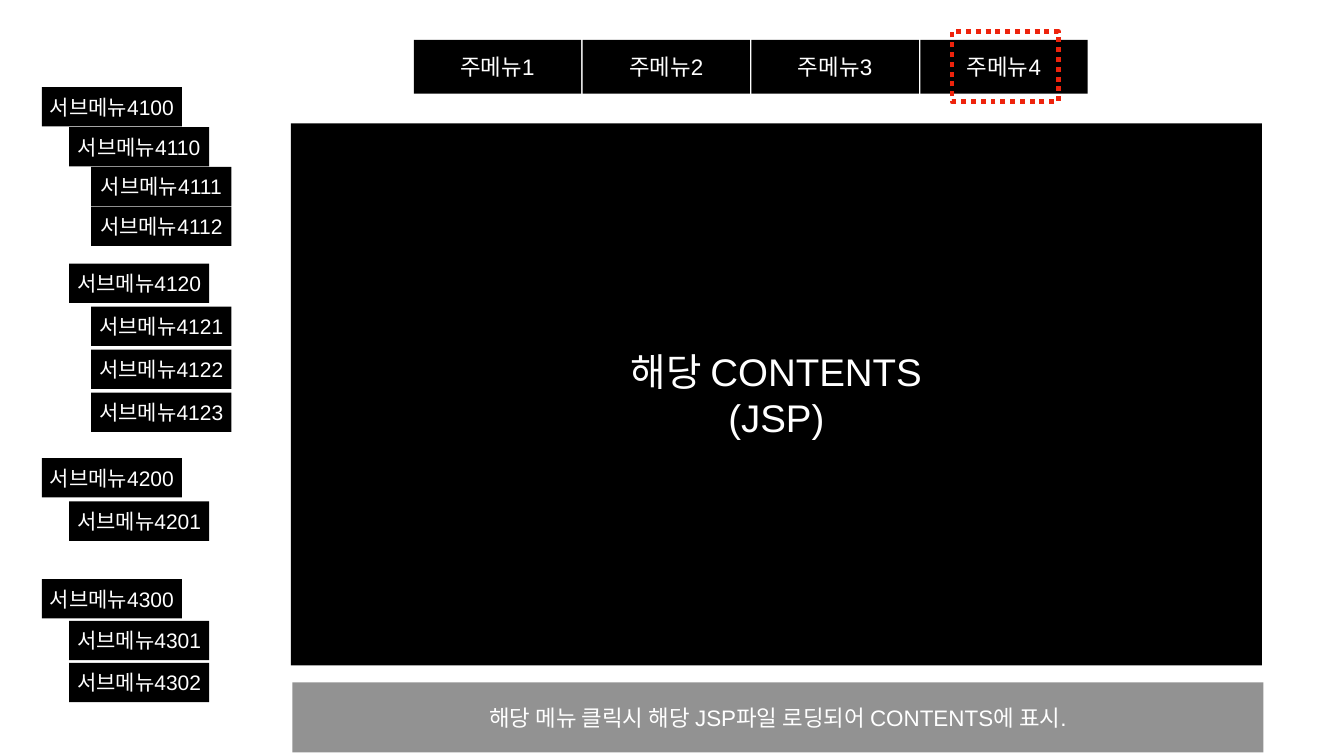
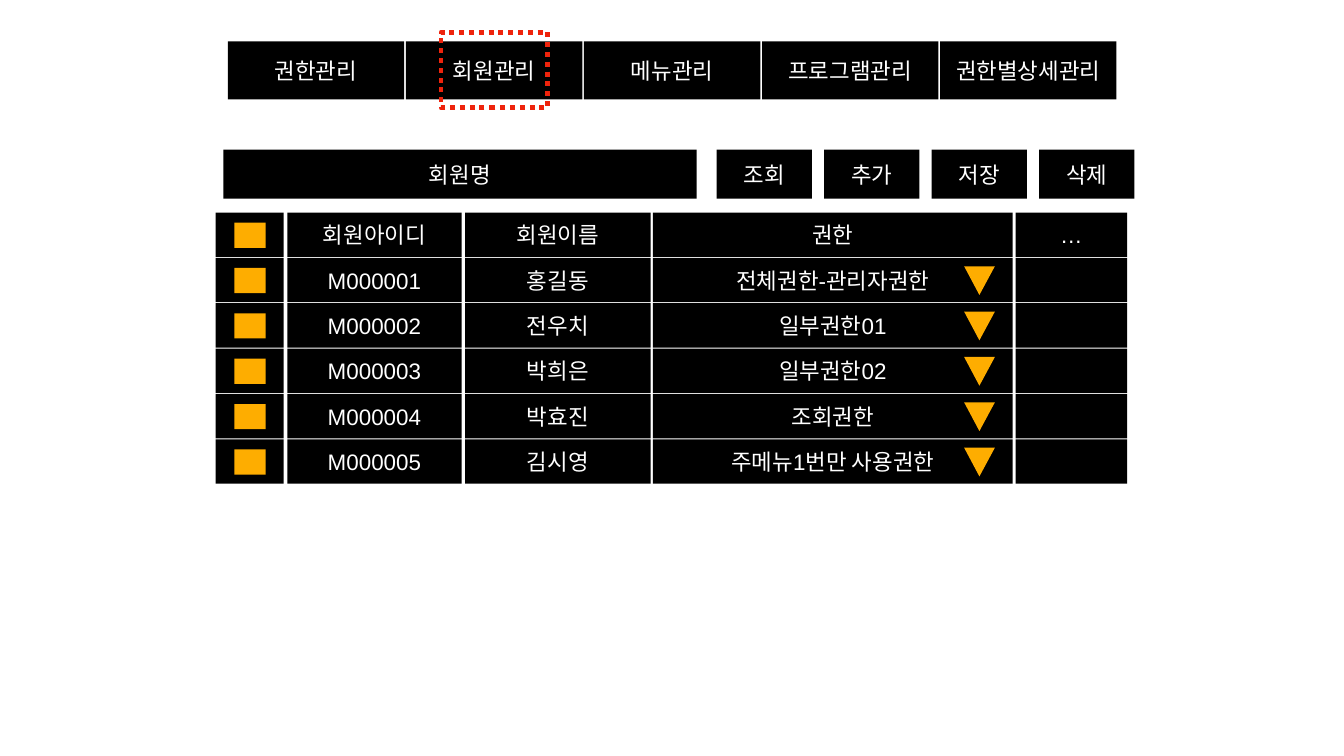
from dataclasses import dataclass

from pptx import Presentation
from pptx.dml.color import RGBColor
from pptx.enum.dml import MSO_LINE
from pptx.enum.shapes import MSO_SHAPE
from pptx.enum.text import MSO_ANCHOR, PP_ALIGN
from pptx.util import Inches, Pt


@dataclass(frozen=True)
class Theme:
    font: str = "Arial"
    box: RGBColor = RGBColor(0x00, 0x00, 0x00)
    text: RGBColor = RGBColor(0xFF, 0xFF, 0xFF)
    note: RGBColor = RGBColor(0x92, 0x92, 0x92)
    marker: RGBColor = RGBColor(0xFE, 0xAD, 0x00)
    highlight: RGBColor = RGBColor(0xEE, 0x23, 0x0C)
    body: int = 32
    submenu: int = 30
    contents: int = 55
    highlight_width: int = 7


theme = Theme()

prs = Presentation()
prs.slide_width, prs.slide_height = Inches(26.67), Inches(15)
blank = prs.slide_layouts[6]

# Every length below is counted in columns and rows of this 80 x 45 grid
COL = prs.slide_width / 80
ROW = prs.slide_height / 45


def add_box(s, left, top, width, height, text="", size=theme.body, fill=theme.box):
    """Add a borderless rectangle; each line of text becomes a paragraph."""
    sp = s.shapes.add_shape(MSO_SHAPE.RECTANGLE, round(left * COL), round(top * ROW),
                            round(width * COL), round(height * ROW))
    sp.shadow.inherit = False
    sp.fill.solid()
    sp.fill.fore_color.rgb = fill
    sp.line.fill.background()
    if not text:
        return sp
    tf = sp.text_frame
    tf.word_wrap = True
    tf.vertical_anchor = MSO_ANCHOR.MIDDLE
    tf.margin_left = tf.margin_right = tf.margin_top = tf.margin_bottom = Inches(0.06)
    for i, line in enumerate(text.split("\n")):
        p = tf.add_paragraph() if i else tf.paragraphs[0]
        p.alignment = PP_ALIGN.CENTER
        r = p.add_run()
        r.text = line
        r.font.name = theme.font
        r.font.size = Pt(size)
        r.font.color.rgb = theme.text
    return sp


def add_main_menu(s, labels, left, top, width, height, pitch, highlight):
    """Add the row of menu boxes and the dotted frame (left, top, width, height)."""
    for i, label in enumerate(labels):
        add_box(s, left + i * pitch, top, width, height, label)
    frame = add_box(s, *highlight)
    frame.fill.background()
    frame.line.color.rgb = theme.highlight
    frame.line.width = Pt(theme.highlight_width)
    frame.line.dash_style = MSO_LINE.ROUND_DOT


# Slide 1: page layout with main menu, submenu tree and contents
s = prs.slides.add_slide(blank)
add_box(s, 17.31, 7.35, 57.81, 32.25, "해당 CONTENTS\n(JSP)", theme.contents)
add_box(s, 17.4, 40.62, 57.81, 4.17,
        "해당 메뉴 클릭시 해당 JSP파일 로딩되어 CONTENTS에 표시.", fill=theme.note)
add_main_menu(s, [f"주메뉴{n}" for n in range(1, 5)], 24.63, 2.37, 9.96, 3.21, 10.05,
              highlight=(56.67, 1.89, 6.33, 4.17))

indents = [2.49, 4.11, 5.43]
submenu_groups = [  # top, pitch, (indent level, number)
    (5.19, 2.37, [(0, 4100), (1, 4110), (2, 4111), (2, 4112)]),
    (15.69, 2.56, [(1, 4120), (2, 4121), (2, 4122), (2, 4123)]),
    (27.27, 2.58, [(0, 4200), (1, 4201)]),
    (34.47, 2.49, [(0, 4300), (1, 4301), (1, 4302)]),
]
for top, pitch, items in submenu_groups:
    for i, (level, number) in enumerate(items):
        add_box(s, indents[level], top + i * pitch, 8.34, 2.34,
                f"서브메뉴{number}", theme.submenu)

# Slide 2: member management screen
s = prs.slides.add_slide(blank)
add_main_menu(s, ["권한관리", "회원관리", "메뉴관리", "프로그램관리", "권한별상세관리"],
              13.56, 2.46, 10.5, 3.45, 10.6, highlight=(26.25, 1.92, 6.33, 4.5))

add_box(s, 13.29, 8.91, 28.17, 2.91, "회원명")
for i, label in enumerate(["조회", "추가", "저장", "삭제"]):
    add_box(s, 42.66 + i * 6.4, 8.91, 5.67, 2.91, label)

member_columns = [(12.84, 4.05), (17.1, 10.38), (27.69, 11.04), (38.86, 21.42), (60.46, 6.63)]
member_rows = [
    ("", "회원아이디", "회원이름", "권한", "…"),
    ("", "M000001", "홍길동", "전체권한-관리자권한", ""),
    ("", "M000002", "전우치", "일부권한01", ""),
    ("", "M000003", "박희은", "일부권한02", ""),
    ("", "M000004", "박효진", "조회권한", ""),
    ("", "M000005", "김시영", "주메뉴1번만 사용권한", ""),
]
for i, values in enumerate(member_rows):
    top = 12.65 + i * 2.7
    for (left, width), value in zip(member_columns, values):
        add_box(s, left, top, width, 2.64, value)
    add_box(s, 13.95, top + 0.6, 1.86, 1.5, fill=theme.marker)  # checkbox
    if i == 0:
        continue
    x, y = 57.39, top + 0.5
    fb = s.shapes.build_freeform(round((x + 0.91) * COL), round((y + 1.71) * ROW))
    fb.add_line_segments([(round((x + 1.83) * COL), round(y * ROW)),
                          (round(x * COL), round(y * ROW))], close=True)
    arrow = fb.convert_to_shape()
    arrow.shadow.inherit = False
    arrow.fill.solid()
    arrow.fill.fore_color.rgb = theme.marker
    arrow.line.fill.background()

prs.save("out.pptx")
